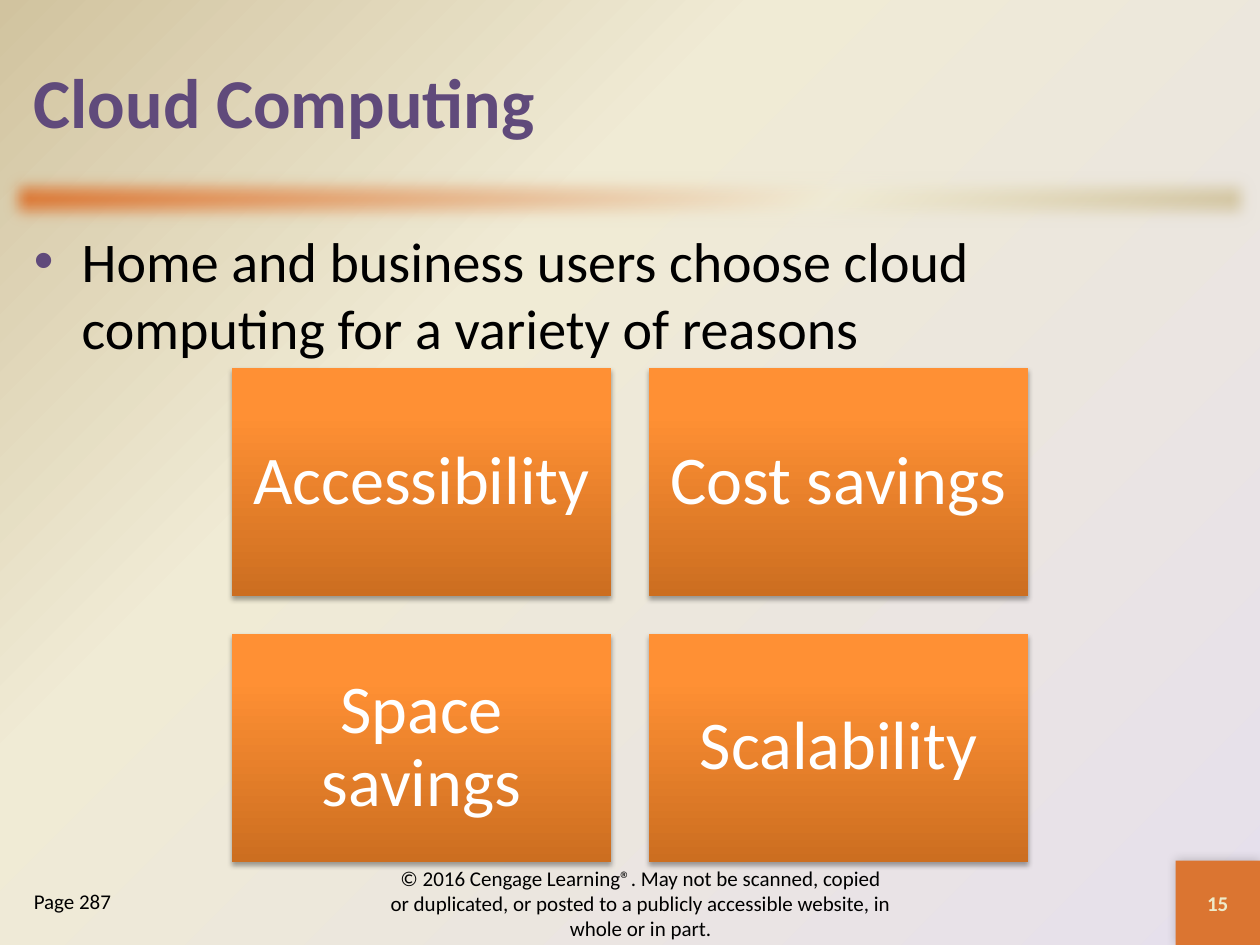
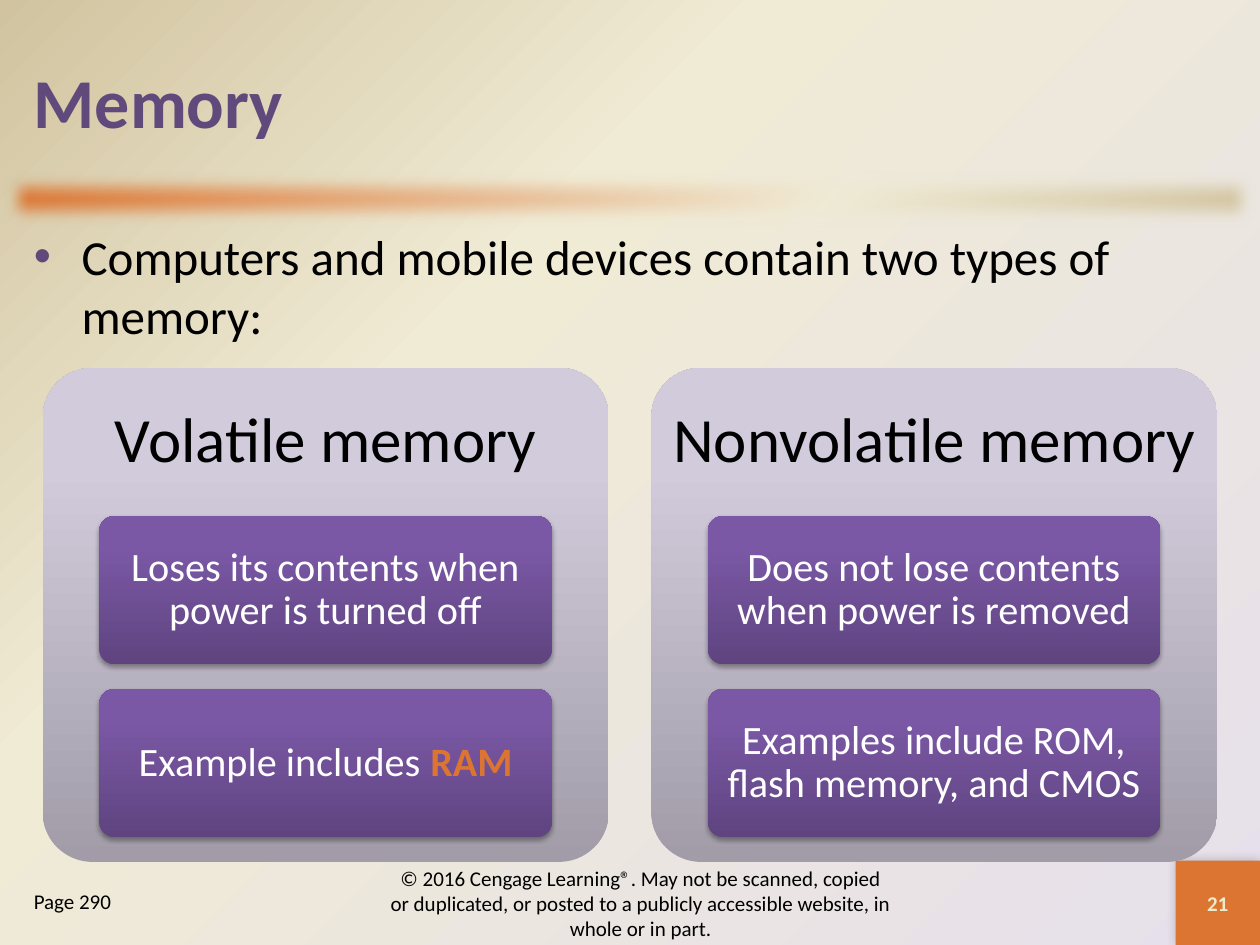
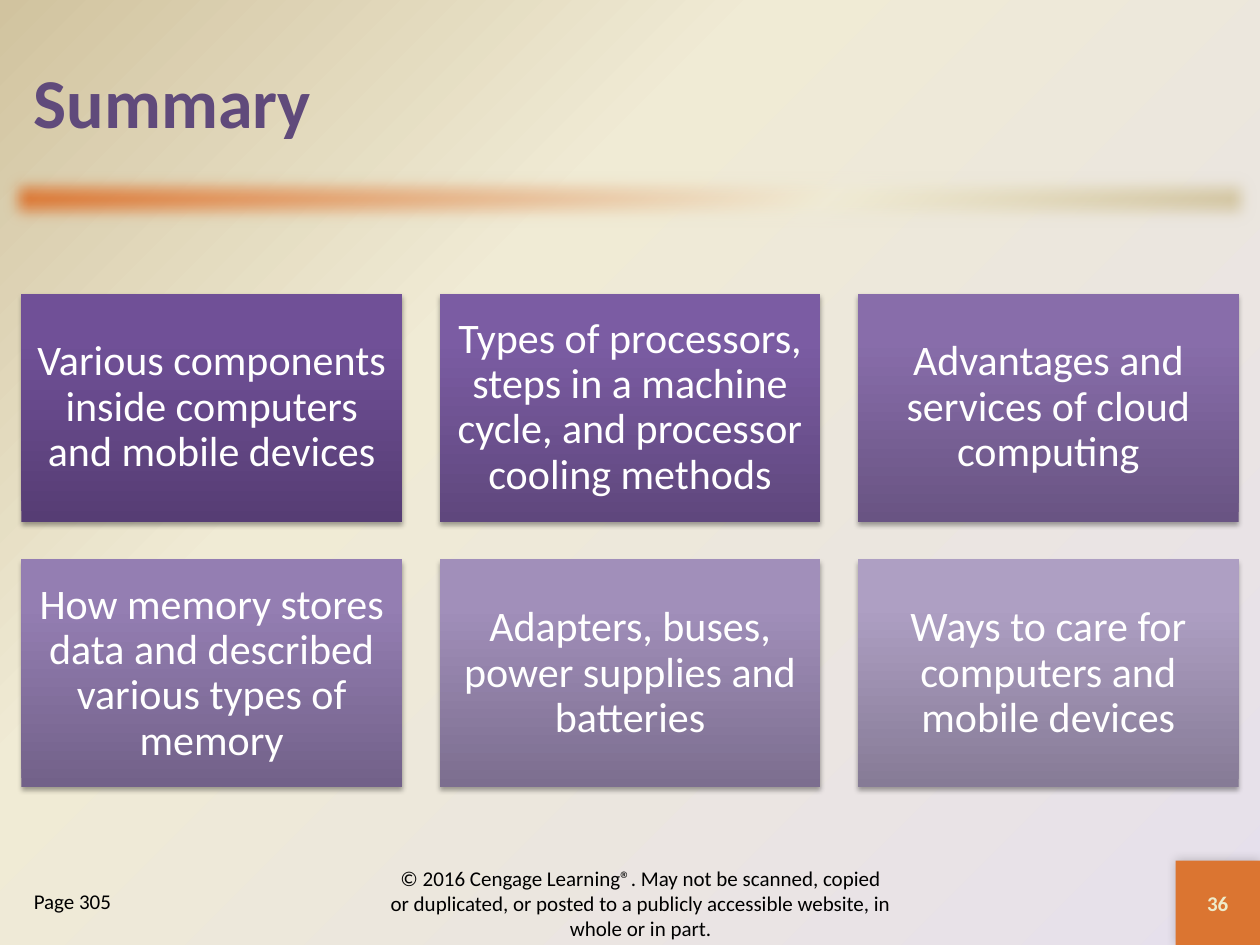
import pptx
import pptx.util
import pptx.dml.color
import pptx.enum.shapes
import pptx.enum.text
import pptx.oxml
import pptx.oxml.ns

Inches = pptx.util.Inches
Pt = pptx.util.Pt
RGB = pptx.dml.color.RGBColor
SHAPE = pptx.enum.shapes.MSO_SHAPE
ANCHOR = pptx.enum.text.MSO_ANCHOR
ALIGN = pptx.enum.text.PP_ALIGN
qn = pptx.oxml.ns.qn

W, H = 10, 7.5
FONT = "Calibri"
PURPLE = RGB(0x60, 0x4A, 0x7B)
ORANGE = RGB(0xDB, 0x75, 0x31)
CREAM = RGB(0xEE, 0xEB, 0xCA)
SAND = RGB(0xF0, 0xEB, 0xD5)
TAN = RGB(0xD1, 0xC3, 0x9F)
LILAC = RGB(0xE6, 0xE0, 0xEC)
BLACK = RGB(0, 0, 0)
WHITE = RGB(255, 255, 255)


def shades(low, high, top):
    return [(0, RGB.from_string(low)), (80, RGB.from_string(high)), (100, RGB.from_string(top))]


ORANGE_BOX = shades("CC6E20", "FF9034", "FF9136")
PURPLE_BOX = shades("5F4480", "7B58A6", "7C57A8")
GREY_CARD = shades("A19CA8", "D1CBDB", "D2CBDC")

COPYRIGHT = ("© 2016 Cengage Learning®. May not be scanned, copied or duplicated, "
             "or posted to a publicly accessible website, in whole or in part.")
REASONS = ["Accessibility", "Cost savings", "Space savings", "Scalability"]
MEMORY = [
    ("Volatile memory", [
        [("Loses its contents when power is turned off", WHITE, False)],
        [("Example includes ", WHITE, False), ("RAM", ORANGE, True)]]),
    ("Nonvolatile memory", [
        [("Does not lose contents when power is removed", WHITE, False)],
        [("Examples include ROM, flash memory, and CMOS", WHITE, False)]]),
]
SUMMARY = [
    ("Various components inside computers and mobile devices",
     shades("563D74", "705097", "704F99")),
    ("Types of processors, steps in a machine cycle, and processor cooling methods",
     shades("5F477D", "7B5CA3", "7C5BA5")),
    ("Advantages and services of cloud computing", shades("695483", "886DAA", "886DAC")),
    ("How memory stores data and described various types of memory",
     shades("726189", "947EB2", "957EB4")),
    ("Adapters, buses, power supplies and batteries", shades("7C6E8F", "A18FBA", "A18FBC")),
    ("Ways to care for computers and mobile devices", shades("867B96", "AE9FC3", "AE9FC4")),
]

MARGIN = 0.17
CORNER = 0.67
CORNER_BOX = (W - CORNER, H - CORNER, CORNER, CORNER)
TILE_H, TILE_GAP = 1.81, 0.3
CONTENT_TOP = 2.92
LINEAR = '<a:lin ang="%d" scaled="0"/>'
FROM_CORNER = '<a:path path="circle"><a:fillToRect l="100000" t="100000"/></a:path>'


def xml(text):
    head, tail = text.split(">", 1) if "/>" not in text.split(">", 1)[0] + ">" else (text[:-2], None)
    declared = head + " " + pptx.oxml.ns.nsdecls("a")
    return pptx.oxml.parse_xml(declared + ("/>" if tail is None else ">" + tail))


def set_gradient(parent, stops, direction):
    gs = "".join(f'<a:gs pos="{pos * 1000}"><a:srgbClr val="{color}"/></a:gs>' for pos, color in stops)
    grad = xml(f'<a:gradFill rotWithShape="1"><a:gsLst>{gs}</a:gsLst>{direction}</a:gradFill>')
    parent.replace(parent.find(qn("a:solidFill")), grad)


def add_effect(sp, effect):
    sp._element.spPr.find(qn("a:effectLst")).append(xml(effect))


def add_shadow(sp, alpha, blur, dist, angle):
    add_effect(sp, f'<a:outerShdw blurRad="{Pt(blur)}" dist="{Pt(dist)}" dir="{angle * 60000}" '
                   f'rotWithShape="0"><a:srgbClr val="{BLACK}"><a:alpha val="{alpha * 1000}"/>'
                   '</a:srgbClr></a:outerShdw>')


def add_block(s, box, fill, kind=SHAPE.RECTANGLE, angle=270):
    sp = s.shapes.add_shape(kind, *map(Inches, box))
    sp.shadow.inherit = False
    sp.line.fill.background()
    sp.fill.solid()
    if isinstance(fill, RGB):
        sp.fill.fore_color.rgb = fill
    else:
        set_gradient(sp._element.spPr, fill, LINEAR % (angle * 60000))
    if kind == SHAPE.ROUNDED_RECTANGLE:
        sp.adjustments[0] = 0.1
    return sp


def write(sp, runs, size, align=ALIGN.LEFT, anchor=ANCHOR.MIDDLE, inset=(0.1, 0.05), spacing=None):
    tf = sp.text_frame
    tf.word_wrap = True
    tf.vertical_anchor = anchor
    tf.margin_left = tf.margin_right = Inches(inset[0])
    tf.margin_top = tf.margin_bottom = Inches(inset[1])
    p = tf.paragraphs[0]
    p.alignment = align
    if spacing:
        p.line_spacing = spacing
    for text, color, bold in runs:
        r = p.add_run()
        r.text = text
        r.font.name = FONT
        r.font.size = Pt(size)
        r.font.bold = bold
        r.font.color.rgb = color
    return p


def add_text(s, box, text, size, color=BLACK, bold=False, **style):
    sp = s.shapes.add_textbox(*map(Inches, box))
    return write(sp, [(text, color, bold)], size, **style)


def add_tile(s, box, fill, runs, size, inset, kind=SHAPE.RECTANGLE):
    sp = add_block(s, box, fill, kind)
    add_shadow(sp, 35, 3.1, 1.8, 90)
    write(sp, runs, size, align=ALIGN.CENTER, inset=inset, spacing=0.9)


def add_bullet(s, text, size):
    p = add_text(s, (MARGIN, 1.75, W - 2 * MARGIN, 1.1), text, size, anchor=ANCHOR.TOP)
    pPr = p._p.get_or_add_pPr()
    pPr.set("marL", str(Inches(0.38)))
    pPr.set("indent", str(-Inches(0.38)))
    pPr.append(xml(f'<a:buClr><a:srgbClr val="{PURPLE}"/></a:buClr>'))
    pPr.append(xml('<a:buFont typeface="Arial"/>'))
    pPr.append(xml('<a:buChar char="•"/>'))


def grid(top, width, cols, count):
    left = (W - cols * width - (cols - 1) * TILE_GAP) / 2
    return [(left + i % cols * (width + TILE_GAP), top + i // cols * (TILE_H + TILE_GAP), width, TILE_H)
            for i in range(count)]


def new_slide(prs, title, number, page):
    s = prs.slides.add_slide(prs.slide_layouts[6])
    band = add_block(s, (0, 1.33, W, 0.5), [(0, ORANGE), (65, SAND), (100, TAN)], angle=45)
    add_effect(band, f'<a:softEdge rad="{Pt(10)}"/>')
    corner = add_block(s, CORNER_BOX, ORANGE)
    add_shadow(corner, 20, 6, 0, 225)
    write(corner, [(str(number), CREAM, True)], 12, align=ALIGN.CENTER)
    add_text(s, (MARGIN, MARGIN, W - 2 * MARGIN, 1.25), title, 40, PURPLE, True)
    add_text(s, (3, 6.92, 4.17, 0.5), COPYRIGHT, 12, align=ALIGN.CENTER)
    add_text(s, (MARGIN, 7, 1.83, 0.5), f"Page {page}", 12, anchor=ANCHOR.TOP)
    return s


def cloud_slide(prs):
    s = new_slide(prs, "Cloud Computing", 15, 287)
    add_bullet(s, "Home and business users choose cloud computing for a variety of reasons", 32)
    for box, reason in zip(grid(CONTENT_TOP, 3.01, 2, len(REASONS)), REASONS):
        add_tile(s, box, ORANGE_BOX, [(reason, WHITE, False)], 39, (0.15, 0.15))


def memory_slide(prs):
    s = new_slide(prs, "Memory", 21, 290)
    add_bullet(s, "Computers and mobile devices contain two types of memory:", 28)
    card_w, card_h, gap = 4.49, 3.92, 0.34
    head_h = 0.3 * card_h
    for col, (heading, facts) in enumerate(MEMORY):
        left = gap + col * (card_w + gap)
        add_block(s, (left, CONTENT_TOP, card_w, card_h), GREY_CARD, SHAPE.ROUNDED_RECTANGLE)
        add_text(s, (left, CONTENT_TOP, card_w, head_h), heading, 36,
                 align=ALIGN.CENTER, inset=(0.15, 0.15), spacing=0.9)
        for row, runs in enumerate(facts):
            box = (left + 0.1 * card_w, CONTENT_TOP + head_h + row * 0.35 * card_h, 0.8 * card_w, head_h)
            add_tile(s, box, PURPLE_BOX, runs, 23, (0.06, 0.05), SHAPE.ROUNDED_RECTANGLE)


def summary_slide(prs):
    s = new_slide(prs, "Summary", 36, 305)
    for box, (topic, fill) in zip(grid(2.33, 3.02, 3, len(SUMMARY)), SUMMARY):
        add_tile(s, box, fill, [(topic, WHITE, False)], 24, (0.1, 0.1))


def main():
    prs = pptx.Presentation()
    prs.slide_width, prs.slide_height = Inches(W), Inches(H)
    master = prs.slide_master
    master.background.fill.solid()
    set_gradient(master._element.xpath(".//p:bgPr")[0],
                 [(0, LILAC), (65, SAND), (100, TAN)], FROM_CORNER)
    cloud_slide(prs)
    memory_slide(prs)
    summary_slide(prs)
    prs.save("out.pptx")


if __name__ == "__main__":
    main()
